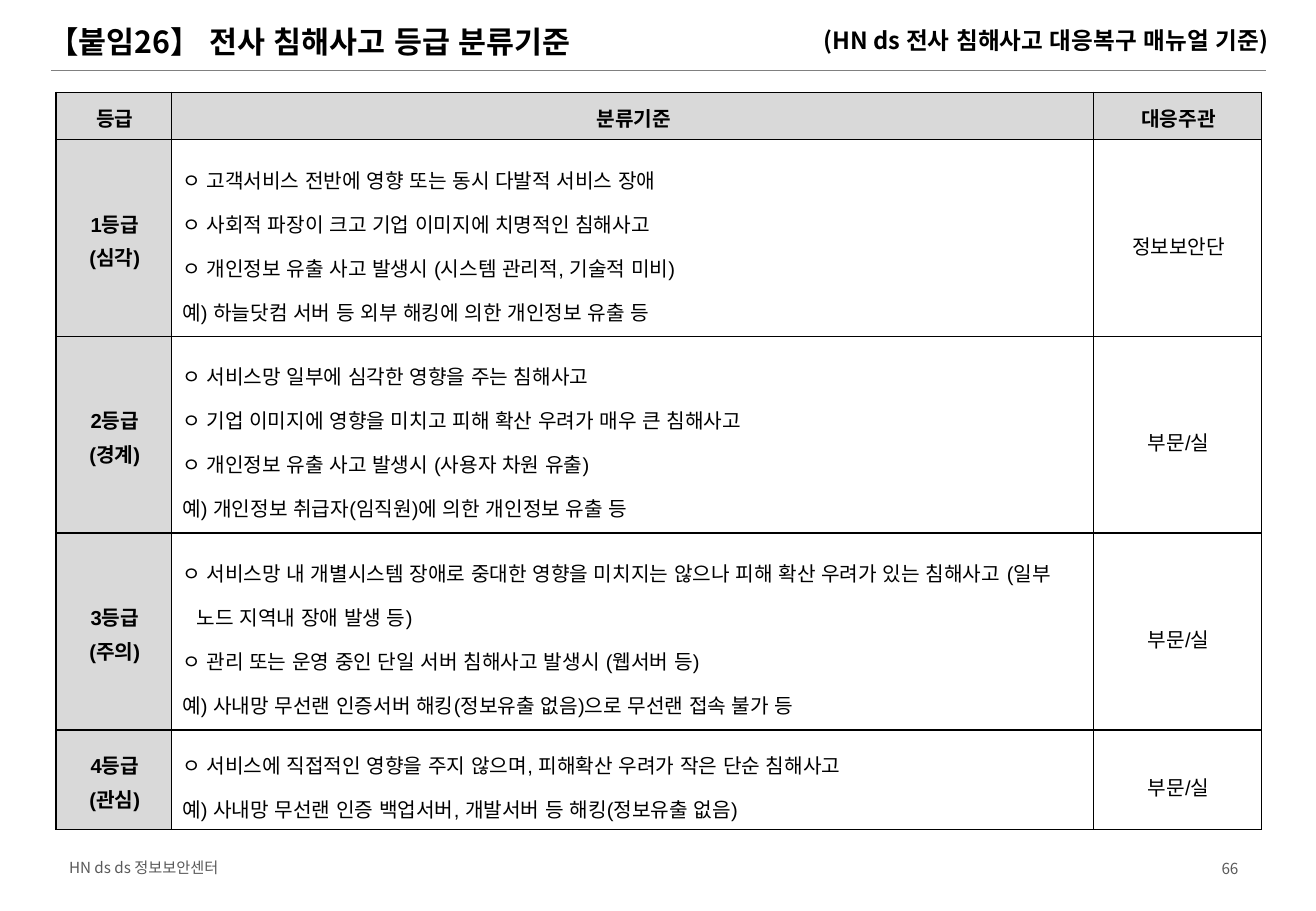
"""Build the incident grading criteria slide."""
from dataclasses import dataclass

from lxml import etree
from pptx import Presentation
from pptx.dml.color import RGBColor
from pptx.enum.lang import MSO_LANGUAGE_ID
from pptx.enum.shapes import MSO_CONNECTOR
from pptx.enum.text import MSO_ANCHOR, MSO_AUTO_SIZE, PP_ALIGN
from pptx.oxml.ns import qn
from pptx.util import Inches, Pt

LEFT, CENTER, RIGHT = PP_ALIGN.LEFT, PP_ALIGN.CENTER, PP_ALIGN.RIGHT
MIDDLE = MSO_ANCHOR.MIDDLE
FIXED, GROW = MSO_AUTO_SIZE.NONE, MSO_AUTO_SIZE.SHAPE_TO_FIT_TEXT
STRAIGHT = MSO_CONNECTOR.STRAIGHT
KOREAN = MSO_LANGUAGE_ID.KOREAN


@dataclass(frozen=True)
class Theme:
    ink: str = "000000"
    muted: str = "595959"
    rule: str = "808080"
    shade: str = "D9D9D9"
    sans: str = "Noto Sans CJK KR"
    table_font: str = "Arial"
    title_size: int = 18
    subtitle_size: int = 14
    table_size: int = 12
    footer_size: int = 9
    line_width: int = 1


@dataclass(frozen=True)
class Area:
    left: float
    top: float
    width: float
    height: float


@dataclass(frozen=True)
class Grade:
    number: int
    name: str
    criteria: tuple[str, ...]
    owner: str
    rows: float = 16.2


THEME = Theme()
COLUMNS, ROWS = 108.3, 75
TITLE_AREA = Area(3, 1.6, 76, 3.6)
SUBTITLE_AREA = Area(60.5, 2.3, 44.1, 2.2)
TABLE_AREA = Area(4.6, 7.6, 99.2, 60.6)
FOOTER_AREA = Area(4.7, 70.1, 28, 2.6)
NUMBER_AREA = Area(77.6, 69.5, 25.3, 4)
RULE_LEFT, RULE_RIGHT, RULE_ROW = 4.2, 104.2, 5.8
COLUMN_WIDTHS = (9.5, 75.9, 13.8)
HEADER_ROWS = 3.9
CELL_MARGIN, TEXT_INDENT, FIRST_INDENT = 0.7, 1.4, -1.2
TIGHT, LOOSE = 1.15, 1.5
HEADINGS = ("등급", "분류기준", "대응주관")
GRADES = (
    Grade(1, "심각", (
        "ㅇ 고객서비스 전반에 영향 또는 동시 다발적 서비스 장애",
        "ㅇ 사회적 파장이 크고 기업 이미지에 치명적인 침해사고",
        "ㅇ 개인정보 유출 사고 발생시 (시스템 관리적, 기술적 미비)",
        "예) 하늘닷컴 서버 등 외부 해킹에 의한 개인정보 유출 등"), "정보보안단"),
    Grade(2, "경계", (
        "ㅇ 서비스망 일부에 심각한 영향을 주는 침해사고",
        "ㅇ 기업 이미지에 영향을 미치고 피해 확산 우려가 매우 큰 침해사고",
        "ㅇ 개인정보 유출 사고 발생시 (사용자 차원 유출)",
        "예) 개인정보 취급자(임직원)에 의한 개인정보 유출 등"), "부문/실"),
    Grade(3, "주의", (
        "ㅇ 서비스망 내 개별시스템 장애로 중대한 영향을 미치지는 않으나 피해 확산 우려가 있는 "
        "침해사고 (일부 노드 지역내 장애 발생 등)",
        "ㅇ 관리 또는 운영 중인 단일 서버 침해사고 발생시 (웹서버 등)",
        "예) 사내망 무선랜 인증서버 해킹(정보유출 없음)으로 무선랜 접속 불가 등"), "부문/실"),
    Grade(4, "관심", (
        "ㅇ 서비스에 직접적인 영향을 주지 않으며, 피해확산 우려가 작은 단순 침해사고",
        "예) 사내망 무선랜 인증 백업서버, 개발서버 등 해킹(정보유출 없음)"), "부문/실", 8.2),
)


def grid(units: float) -> int:
    """Turn grid columns or rows into a length."""
    return Inches(units / 10)


def place(area: Area) -> tuple[int, int, int, int]:
    """Turn an area into left, top, width and height."""
    return grid(area.left), grid(area.top), grid(area.width), grid(area.height)


def write(frame, lines: tuple[str, ...], *, size: int, font: str = THEME.sans,
          color: str = THEME.ink, bold: bool = False, align=LEFT,
          spacing: float = 1.0, hanging: bool = False) -> None:
    """Write one formatted paragraph for each line."""
    for index, line in enumerate(lines):
        para = frame.add_paragraph() if index else frame.paragraphs[0]
        para.alignment, para.line_spacing = align, spacing
        if hanging:
            properties = para._p.get_or_add_pPr()
            properties.set("marL", str(grid(TEXT_INDENT)))
            properties.set("indent", str(grid(FIRST_INDENT)))
        span = para.add_run()
        span.text = line
        span.font.size, span.font.bold = Pt(size), bold
        span.font.color.rgb = RGBColor.from_string(color)
        span.font.name, span.font.language_id = font, KOREAN
        east_asian = etree.SubElement(span._r.get_or_add_rPr(), qn("a:ea"))
        east_asian.set("typeface", THEME.sans)


def add_text(page, area: Area, text: str, *, fit=FIXED, **text_format):
    """Add a text box with one line of text."""
    box = page.shapes.add_textbox(*place(area))
    frame = box.text_frame
    frame.word_wrap, frame.auto_size, frame.vertical_anchor = True, fit, MIDDLE
    write(frame, (text,), **text_format)
    return box


def add_title(page, text: str) -> None:
    """Place and fill the title placeholder."""
    title = page.shapes.title
    title.left, title.top, title.width, title.height = place(TITLE_AREA)
    frame = title.text_frame
    frame.word_wrap, frame.auto_size, frame.vertical_anchor = True, FIXED, MIDDLE
    write(frame, (text,), size=THEME.title_size, bold=True)


def add_rule(page) -> None:
    """Draw the line beneath the title."""
    rule = page.shapes.add_connector(STRAIGHT, grid(RULE_LEFT), grid(RULE_ROW),
                                     grid(RULE_RIGHT), grid(RULE_ROW))
    rule.line.color.rgb = RGBColor.from_string(THEME.rule)
    rule.line.width = Pt(THEME.line_width)
    etree.SubElement(rule._element.spPr, qn("a:effectLst"))


def fill_cell(cell, lines: tuple[str, ...], *, shaded: bool = False, **text_format) -> None:
    """Give a cell its borders, fill and text."""
    properties = cell._tc.get_or_add_tcPr()
    for side in ("a:lnL", "a:lnR", "a:lnT", "a:lnB"):
        border = etree.SubElement(properties, qn(side), w=str(Pt(THEME.line_width)))
        paint = etree.SubElement(border, qn("a:solidFill"))
        etree.SubElement(paint, qn("a:srgbClr"), val=THEME.ink)
    if shaded:
        cell.fill.solid()
        cell.fill.fore_color.rgb = RGBColor.from_string(THEME.shade)
    else:
        cell.fill.background()
    cell.margin_left = cell.margin_right = grid(CELL_MARGIN)
    cell.margin_top = cell.margin_bottom = 0
    cell.vertical_anchor = MIDDLE
    write(cell.text_frame, lines, size=THEME.table_size, font=THEME.table_font,
          bold=shaded, spacing=TIGHT if shaded else LOOSE, hanging=True, **text_format)


def add_grades(page) -> None:
    """Add the table of grades, criteria and owners."""
    table = page.shapes.add_table(len(GRADES) + 1, len(HEADINGS), *place(TABLE_AREA)).table
    table.first_row = table.horz_banding = False
    for column, width in zip(table.columns, COLUMN_WIDTHS):
        column.width = grid(width)
    for row, height in zip(table.rows, (HEADER_ROWS, *(grade.rows for grade in GRADES))):
        row.height = grid(height)
    for index, heading in enumerate(HEADINGS):
        fill_cell(table.cell(0, index), (heading,), shaded=True, align=CENTER)
    for index, grade in enumerate(GRADES, start=1):
        label = (f"{grade.number}등급", f"({grade.name})")
        fill_cell(table.cell(index, 0), label, shaded=True, align=CENTER)
        fill_cell(table.cell(index, 1), grade.criteria)
        fill_cell(table.cell(index, 2), (grade.owner,), align=CENTER)


def main() -> None:
    """Build and save the deck."""
    deck = Presentation()
    deck.slide_width, deck.slide_height = grid(COLUMNS), grid(ROWS)
    page = deck.slides.add_slide(deck.slide_layouts.get_by_name("Title Only"))
    add_rule(page)
    add_text(page, FOOTER_AREA, "HN ds ds 정보보안센터",
             size=THEME.footer_size, color=THEME.muted)
    add_title(page, "【붙임26】 전사 침해사고 등급 분류기준")
    subtitle = add_text(page, SUBTITLE_AREA, "(HN ds 전사 침해사고 대응복구 매뉴얼 기준)", fit=GROW,
                        size=THEME.subtitle_size, bold=True, align=RIGHT, spacing=0.95)
    frame = subtitle.text_frame
    frame.margin_left = frame.margin_right = grid(0.2)
    frame.margin_top = frame.margin_bottom = 0
    add_grades(page)
    add_text(page, NUMBER_AREA, "66", size=THEME.footer_size, color=THEME.muted, align=RIGHT)
    deck.save("out.pptx")


if __name__ == "__main__":
    main()
